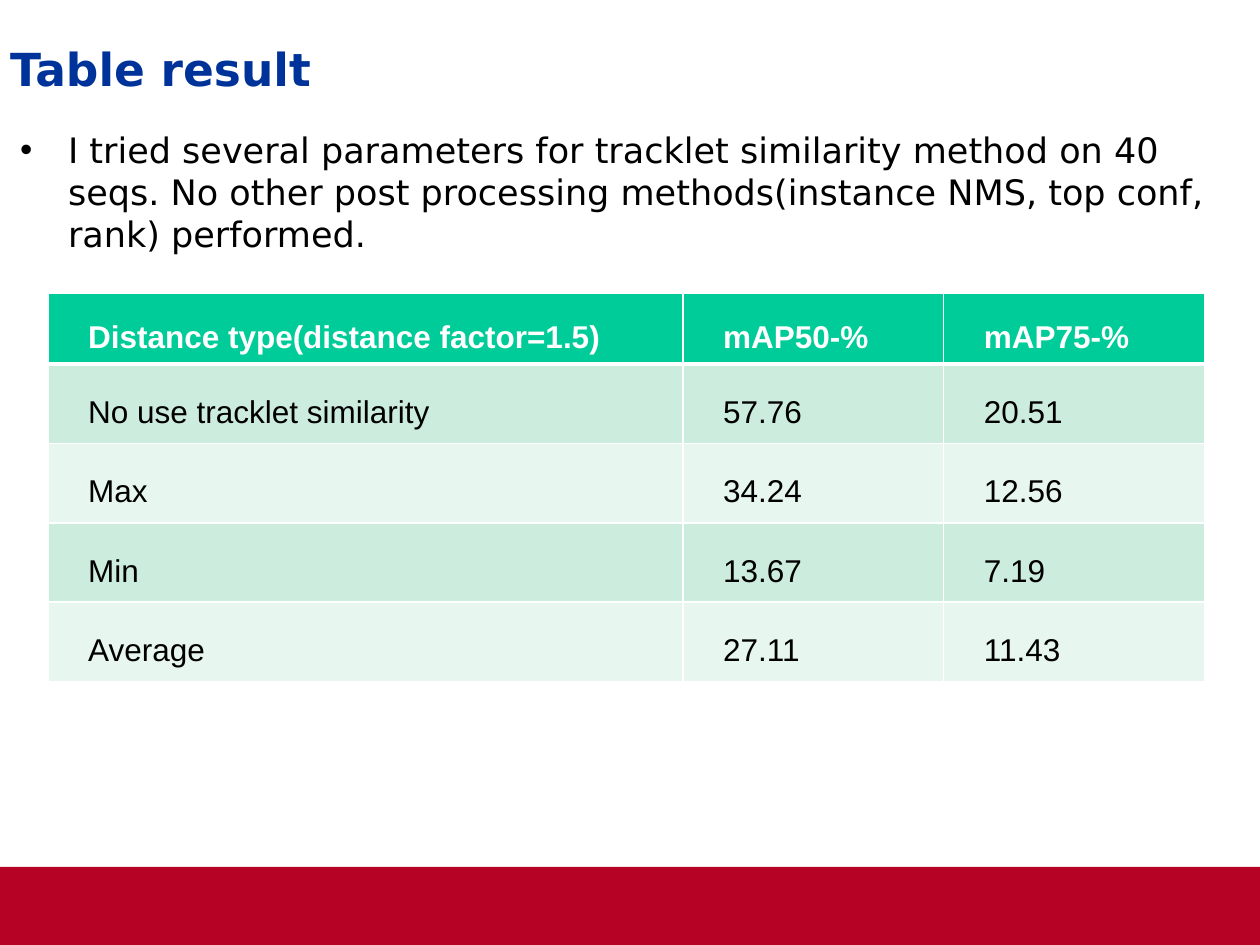
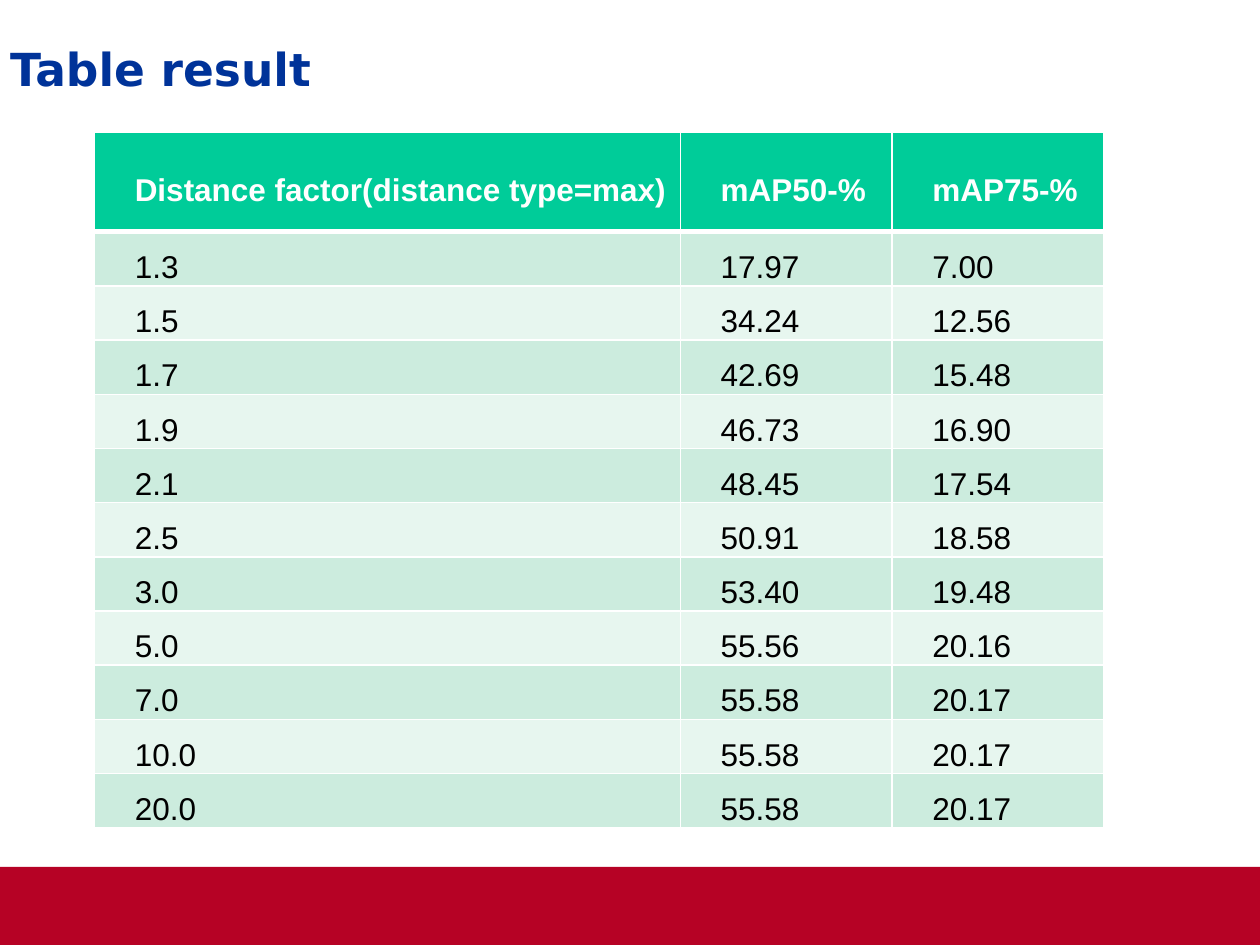
from lxml import etree
from pptx import Presentation
from pptx.dml.color import RGBColor
from pptx.enum.shapes import MSO_SHAPE
from pptx.enum.text import MSO_ANCHOR, MSO_AUTO_SIZE, PP_ALIGN
from pptx.oxml.ns import qn
from pptx.util import Emu, Inches, Pt

RECTANGLE = MSO_SHAPE.RECTANGLE
TOP, MIDDLE = MSO_ANCHOR.TOP, MSO_ANCHOR.MIDDLE
LEFT, JUSTIFY = PP_ALIGN.LEFT, PP_ALIGN.JUSTIFY
NO_AUTOFIT = MSO_AUTO_SIZE.NONE

WIDTH, HEIGHT = Inches(10), Inches(7.5)
TITLE_AND_BODY, TITLE_ONLY = 1, 5
HEADING_FONT, TABLE_FONT = "DejaVu Sans", "Arial"
COLORS = {
    "band": "B60225",
    "title": "003399",
    "text": "000000",
    "white": "FFFFFF",
    "header": "00CC99",
    "odd_row": "CCECDE",
    "even_row": "E7F6EF",
}

NOTE = ("I tried several parameters for tracklet similarity method on 40 seqs. "
        "No other post processing methods(instance NMS, top conf, rank) performed.")

DISTANCE_TYPES = [
    ("Distance type(distance factor=1.5)", "mAP50-%", "mAP75-%"),
    ("No use tracklet similarity", "57.76", "20.51"),
    ("Max", "34.24", "12.56"),
    ("Min", "13.67", "7.19"),
    ("Average", "27.11", "11.43"),
]

DISTANCE_FACTORS = [
    ("Distance factor(distance type=max)", "mAP50-%", "mAP75-%"),
    ("1.3", "17.97", "7.00"),
    ("1.5", "34.24", "12.56"),
    ("1.7", "42.69", "15.48"),
    ("1.9", "46.73", "16.90"),
    ("2.1", "48.45", "17.54"),
    ("2.5", "50.91", "18.58"),
    ("3.0", "53.40", "19.48"),
    ("5.0", "55.56", "20.16"),
    ("7.0", "55.58", "20.17"),
    ("10.0", "55.58", "20.17"),
    ("20.0", "55.58", "20.17"),
]


def rgb(name):
    return RGBColor.from_string(COLORS[name])


def set_font(paragraph, face, size, color, bold=False):
    font = paragraph.font
    font.name, font.size, font.bold = face, Pt(size), bold
    font.color.rgb = rgb(color)


def set_indent(paragraph, margin, first_line=0):
    properties = paragraph._p.get_or_add_pPr()
    properties.set("marL", str(Inches(margin)))
    properties.set("indent", str(Inches(first_line)))
    return properties


def fill_placeholder(placeholder, box, text, anchor):
    """Move a placeholder to box (inches), write its text, return the paragraph."""
    placeholder.left, placeholder.top, placeholder.width, placeholder.height = map(Inches, box)
    frame = placeholder.text_frame
    frame.text = text
    frame.word_wrap = True
    frame.auto_size = NO_AUTOFIT
    frame.vertical_anchor = anchor
    frame.margin_left = frame.margin_top = 0
    frame.margin_right, frame.margin_bottom = Inches(0.1), Inches(0.05)
    paragraph = frame.paragraphs[0]
    paragraph.alignment = LEFT
    paragraph.space_before = Pt(0)
    return paragraph


def add_result_slide(deck, layout):
    """Slide with the shared title and bottom band."""
    slide = deck.slides.add_slide(deck.slide_layouts[layout])
    band_top = Inches(6.88)
    band = slide.shapes.add_shape(RECTANGLE, 0, band_top, WIDTH, HEIGHT - band_top)
    band.shadow.inherit = False
    band.fill.solid()
    band.fill.fore_color.rgb = rgb("band")
    band.line.fill.background()

    heading = fill_placeholder(slide.shapes.title, (0.08, 0.19, 9.77, 0.79),
                               "Table result", MIDDLE)
    heading.line_spacing = 0.95
    set_font(heading, HEADING_FONT, 26, "title", bold=True)
    return slide


def add_note(slide, text):
    note = fill_placeholder(slide.placeholders[1], (0.16, 1.02, 9.69, 5.56), text, TOP)
    note.space_after = Pt(3)
    properties = set_indent(note, 0.38, -0.38)
    etree.SubElement(properties, qn("a:buFont"), typeface="Arial")
    etree.SubElement(properties, qn("a:buChar"), char="•")
    set_font(note, HEADING_FONT, 20, "text")


def set_borders(cell, bottom):
    properties = cell._tc.get_or_add_tcPr()
    for side, width in (("L", 1), ("R", 1), ("T", 1), ("B", bottom)):
        line = etree.SubElement(properties, qn(f"a:ln{side}"), w=str(Pt(width)))
        solid = etree.SubElement(line, qn("a:solidFill"))
        etree.SubElement(solid, qn("a:srgbClr"), val=COLORS["white"])


def format_cell(cell, text, row):
    is_header = row == 0
    set_borders(cell, bottom=3 if is_header else 1)
    cell.fill.solid()
    shade = "header" if is_header else ("odd_row" if row % 2 else "even_row")
    cell.fill.fore_color.rgb = rgb(shade)
    cell.vertical_anchor = MIDDLE
    cell.margin_left = cell.margin_right = Inches(0.07)
    cell.margin_top = cell.margin_bottom = 0
    cell.text = text
    entry = cell.text_frame.paragraphs[0]
    entry.alignment = JUSTIFY
    entry.line_spacing = 1.5
    set_indent(entry, 0.25)
    set_font(entry, TABLE_FONT, 18, "white" if is_header else "text", bold=is_header)


def add_results(slide, records, origin, label_width, score_width, header_height, row_height):
    """Table with one label column and equal score columns (lengths in inches)."""
    widths = [label_width] + [score_width] * (len(records[0]) - 1)
    heights = [header_height] + [row_height] * (len(records) - 1)
    left, top = map(Inches, origin)
    results = slide.shapes.add_table(len(heights), len(widths), left, top,
                                     Emu(Inches(sum(widths))),
                                     Emu(Inches(sum(heights)))).table
    for column, width in zip(results.columns, widths):
        column.width = Inches(width)
    for row, height in zip(results.rows, heights):
        row.height = Inches(height)
    for r, record in enumerate(records):
        for c, value in enumerate(record):
            format_cell(results.cell(r, c), value, r)


def main():
    deck = Presentation()
    deck.slide_width, deck.slide_height = WIDTH, HEIGHT

    # Distance types
    by_type = add_result_slide(deck, TITLE_AND_BODY)
    add_note(by_type, NOTE)
    add_results(by_type, DISTANCE_TYPES, (0.38, 2.33), 5.04, 2.07, 0.56, 0.63)

    # Distance factors
    by_factor = add_result_slide(deck, TITLE_ONLY)
    add_results(by_factor, DISTANCE_FACTORS, (0.75, 1.05), 4.65, 1.68, 0.79, 0.43)

    deck.save("out.pptx")


if __name__ == "__main__":
    main()
